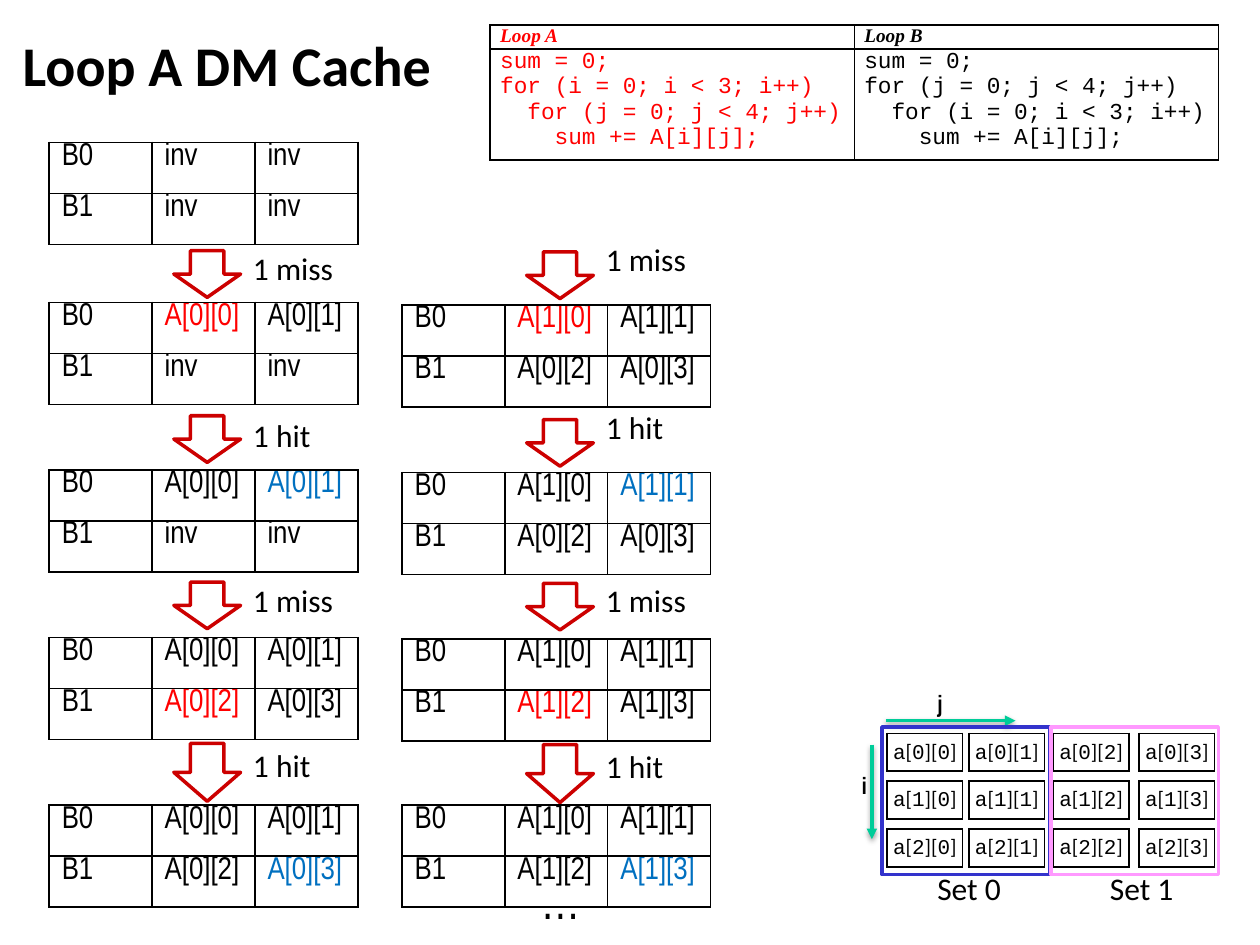
from lxml import etree
from pptx import Presentation
from pptx.dml.color import RGBColor
from pptx.enum import shapes, text
from pptx.oxml import parse_xml
from pptx.oxml.ns import qn
from pptx.util import Inches, Pt

COLORS = {"black": "000000", "red": "FF0000", "blue": "0070C0", "arrow": "CC0000",
          "axis": "00CC99", "set0": "3333CC", "set1": "FF99FF"}
NO_STYLE = "{2D5ABB26-0587-4C30-8999-92F81FD0307C}"
A_NS = 'xmlns:a="http://schemas.openxmlformats.org/drawingml/2006/main"'
SHADOW = (f'<a:effectLst {A_NS}><a:outerShdw blurRad="39370" dist="20320" dir="5400000">'
          '<a:srgbClr val="000000"><a:alpha val="38000"/></a:srgbClr></a:outerShdw></a:effectLst>')

# Each step: arrow top, label top, table top, label, cached cells, accessed cell
LEFT_STEPS = [
    (1.99, 1.93, 2.40, "1 miss", "A[0][0] A[0][1] inv inv", "A[0][0]"),
    (3.30, 3.25, 3.73, "1 hit", "A[0][0] A[0][1] inv inv", "A[0][1]"),
    (4.62, 4.56, 5.06, "1 miss", "A[0][0] A[0][1] A[0][2] A[0][3]", "A[0][2]"),
    (5.90, 5.87, 6.39, "1 hit", "A[0][0] A[0][1] A[0][2] A[0][3]", "A[0][3]"),
]
RIGHT_STEPS = [
    (2.00, 1.86, 2.42, "1 miss", "A[1][0] A[1][1] A[0][2] A[0][3]", "A[1][0]"),
    (3.33, 3.19, 3.75, "1 hit", "A[1][0] A[1][1] A[0][2] A[0][3]", "A[1][1]"),
    (4.63, 4.56, 5.07, "1 miss", "A[1][0] A[1][1] A[1][2] A[1][3]", "A[1][2]"),
    (5.91, 5.88, 6.39, "1 hit", "A[1][0] A[1][1] A[1][2] A[1][3]", "A[1][3]"),
]


def add_run(p, words, color="black", **font):
    r = p.add_run()
    r.text = words
    r.font.color.rgb = RGBColor.from_string(COLORS[color])
    for name, value in font.items():
        setattr(r.font, name, value)


def add_label(s, x, y, w, h, words, **font):
    tf = s.shapes.add_textbox(Inches(x), Inches(y), Inches(w), Inches(h)).text_frame
    tf.word_wrap = False
    add_run(tf.paragraphs[0], words, **{"name": "Calibri", "size": Pt(18), **font})
    return tf.paragraphs[0]


def add_outline(s, kind, x, y, w, h, color):
    sp = s.shapes.add_shape(kind, Inches(x), Inches(y), Inches(w), Inches(h))
    sp.shadow.inherit = False
    sp.fill.background()
    sp.line.color.rgb = RGBColor.from_string(COLORS[color])
    sp.line.width = Pt(2)


def add_axis(s, x1, y1, x2, y2):
    line = s.shapes.add_connector(shapes.MSO_CONNECTOR.STRAIGHT,
                                  *[Inches(v) for v in (x1, y1, x2, y2)])
    line.line.color.rgb = RGBColor.from_string(COLORS["axis"])
    line.line.width = Pt(2)
    etree.SubElement(line.line._get_or_add_ln(), qn("a:tailEnd"), type="triangle")
    line._element.spPr.append(parse_xml(SHADOW))


def add_plain_table(s, x, y, cols, rows):
    """Add a table without style or fill, with the given column and row sizes in inches."""
    frame = s.shapes.add_table(len(rows), len(cols), Inches(x), Inches(y),
                               Inches(sum(cols)), Inches(sum(rows)))
    table = frame.table
    table.first_row = table.horz_banding = False
    table._tbl.tblPr.find(qn("a:tableStyleId")).text = NO_STYLE
    for items, sizes, side in ((table.columns, cols, "width"), (table.rows, rows, "height")):
        for item, size in zip(items, sizes):
            setattr(item, side, Inches(size))
    for cell in table.iter_cells():
        cell.fill.background()
    return table


def set_borders(cell, sides="LRTB"):
    for i, side in enumerate(sides):
        border = parse_xml(f'<a:ln{side} {A_NS} w="12700"><a:solidFill><a:srgbClr '
                           f'val="{COLORS["black"]}"/></a:solidFill></a:ln{side}>')
        cell._tc.get_or_add_tcPr().insert(i, border)


def set_margins(cell, x, y=0):
    cell.margin_left = cell.margin_right = Inches(x)
    cell.margin_top = cell.margin_bottom = Inches(y)


def cache_table(s, x, y, values, hot=None, hot_color="black"):
    table = add_plain_table(s, x, y, [2.45 / 3] * 3, [0.81 / 2] * 2)
    words = ["B0", *values[:2], "B1", *values[2:]]
    for cell, word in zip(table.iter_cells(), words):
        set_borders(cell)
        set_margins(cell, 0.1)
        add_run(cell.text_frame.paragraphs[0], word, hot_color if word == hot else "black",
                name="Arial Narrow", size=Pt(18))


def cache_column(s, x, steps):
    for arrow_y, label_y, table_y, label, values, hot in steps:
        arrow_h = 0.46 if steps[-1][0] == arrow_y else 0.37
        add_outline(s, shapes.MSO_SHAPE.DOWN_ARROW, x + 0.99, arrow_y, 0.53, arrow_h, "arrow")
        add_label(s, x + 1.52, label_y, 0.84 if label == "1 miss" else 0.66, 0.4, label)
        cache_table(s, x, table_y, values.split(), hot, "red" if label == "1 miss" else "blue")


def code_table(s, x, y):
    table = add_plain_table(s, x, y, [2.89, 2.89], [0.19, 0.88])
    loops = [("Loop A", "red", "i", 3, "j", 4), ("Loop B", "black", "j", 4, "i", 3)]
    for col, (name, color, outer, outer_n, inner, inner_n) in enumerate(loops):
        head, body = table.cell(0, col), table.cell(1, col)
        for cell in (head, body):
            set_borders(cell)
            set_margins(cell, 0.08)
        p = head.text_frame.paragraphs[0]
        p.space_after = Pt(3)
        add_run(p, name, color, name="Times New Roman", size=Pt(11), bold=True, italic=True)
        code = ["sum = 0;",
                f"for ({outer} = 0; {outer} < {outer_n}; {outer}++)",
                f"  for ({inner} = 0; {inner} < {inner_n}; {inner}++)",
                "    sum += A[i][j];"]
        tf = body.text_frame
        for i, line in enumerate(code):
            p = tf.add_paragraph() if i else tf.paragraphs[0]
            p.alignment = text.PP_ALIGN.JUSTIFY
            add_run(p, line, color, name="Courier New", size=Pt(13))


def array_grid(s, x, y):
    """Draw the 3 by 4 array; odd rows and columns of the table are narrow gaps."""
    table = add_plain_table(s, x, y, [0.6, 0.05, 0.6, 0.07, 0.6, 0.08, 0.6],
                            [0.3, 0.08, 0.3, 0.08, 0.3])
    for i in range(5):
        for j in range(7):
            cell = table.cell(i, j)
            set_margins(cell, 0)
            p = cell.text_frame.paragraphs[0]
            if i % 2 or j % 2:
                etree.SubElement(p._p, qn("a:endParaRPr"), sz="100")
                continue
            set_borders(cell)
            cell.vertical_anchor = text.MSO_ANCHOR.MIDDLE
            p.alignment = text.PP_ALIGN.CENTER
            for part in ("a", "[", str(i // 2), "][", str(j // 2), "]"):
                font = "Courier New" if part.isalnum() else "Calibri"
                add_run(p, part, name=font, size=Pt(12))


def array_map(s, x, y):
    array_grid(s, x + 0.04, y + 0.05)
    add_axis(s, x - 0.08, y + 0.14, x - 0.08, y + 0.89)
    add_axis(s, x + 0.03, y - 0.05, x + 1.06, y - 0.05)
    for letter, dx, dy in (("i", -0.26, 0.3), ("j", 0.34, -0.35)):
        add_label(s, x + dx, y + dy, 0.25, 0.33, letter,
                  name="Arial Narrow", size=Pt(13.5), bold=True)
    for n, label_dx in enumerate((0.34, 1.71)):
        add_outline(s, shapes.MSO_SHAPE.RECTANGLE, x + 1.34 * n, y, 1.33, 1.17, f"set{n}")
        add_label(s, x + label_dx, y + 1.08, 0.71, 0.4, f"Set {n}")


def slide_title(s, x, y, w, h):
    title = s.shapes.title
    for side, value in {"left": x, "top": y, "width": w, "height": h}.items():
        setattr(title, side, Inches(value))
    title.text_frame.vertical_anchor = text.MSO_ANCHOR.MIDDLE
    p = title.text_frame.paragraphs[0]
    p.alignment = text.PP_ALIGN.LEFT
    pPr = p._p.get_or_add_pPr()
    pPr.set("marL", str(Inches(0.13)))
    pPr.set("indent", str(Inches(-0.13)))
    add_run(p, "Loop A DM Cache", name="Calibri", size=Pt(32), bold=True)


def main():
    prs = Presentation()
    prs.slide_width, prs.slide_height = Inches(10), Inches(7.5)
    s = prs.slides.add_slide(prs.slide_layouts[5])
    slide_title(s, 0.08, 0.1, 9.19, 0.81)
    cache_table(s, 0.39, 1.13, ["inv"] * 4)
    cache_column(s, 0.39, LEFT_STEPS)
    cache_column(s, 3.19, RIGHT_STEPS)
    p = add_label(s, 3.69, 6.86, 1.03, 0.57, "…", name="Arial Narrow", size=Pt(28))
    p._p.get_or_add_pPr().set("marL", str(Inches(0.5)))
    code_table(s, 3.89, 0.2)
    array_map(s, 7, 5.77)
    prs.save("out.pptx")


if __name__ == "__main__":
    main()
